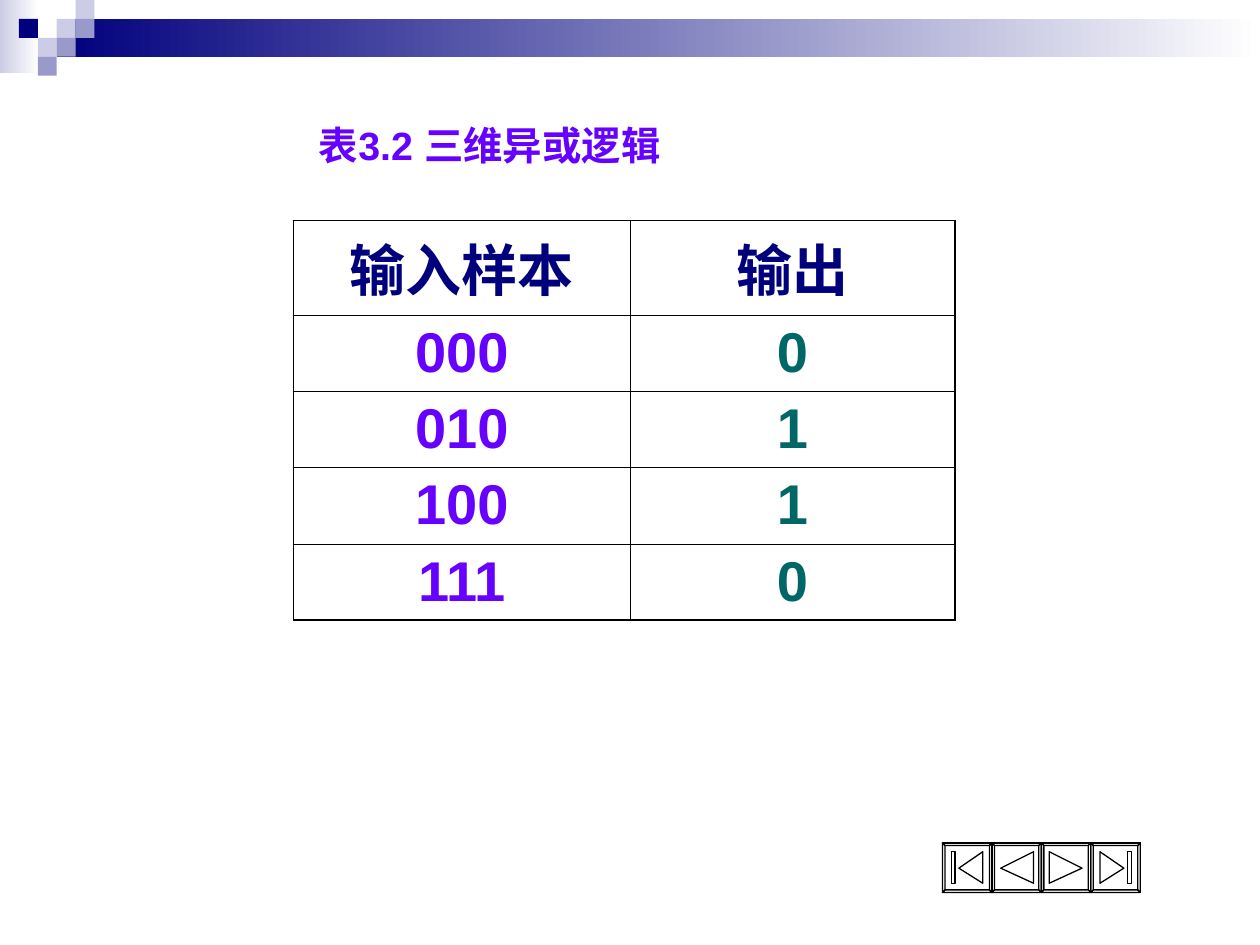
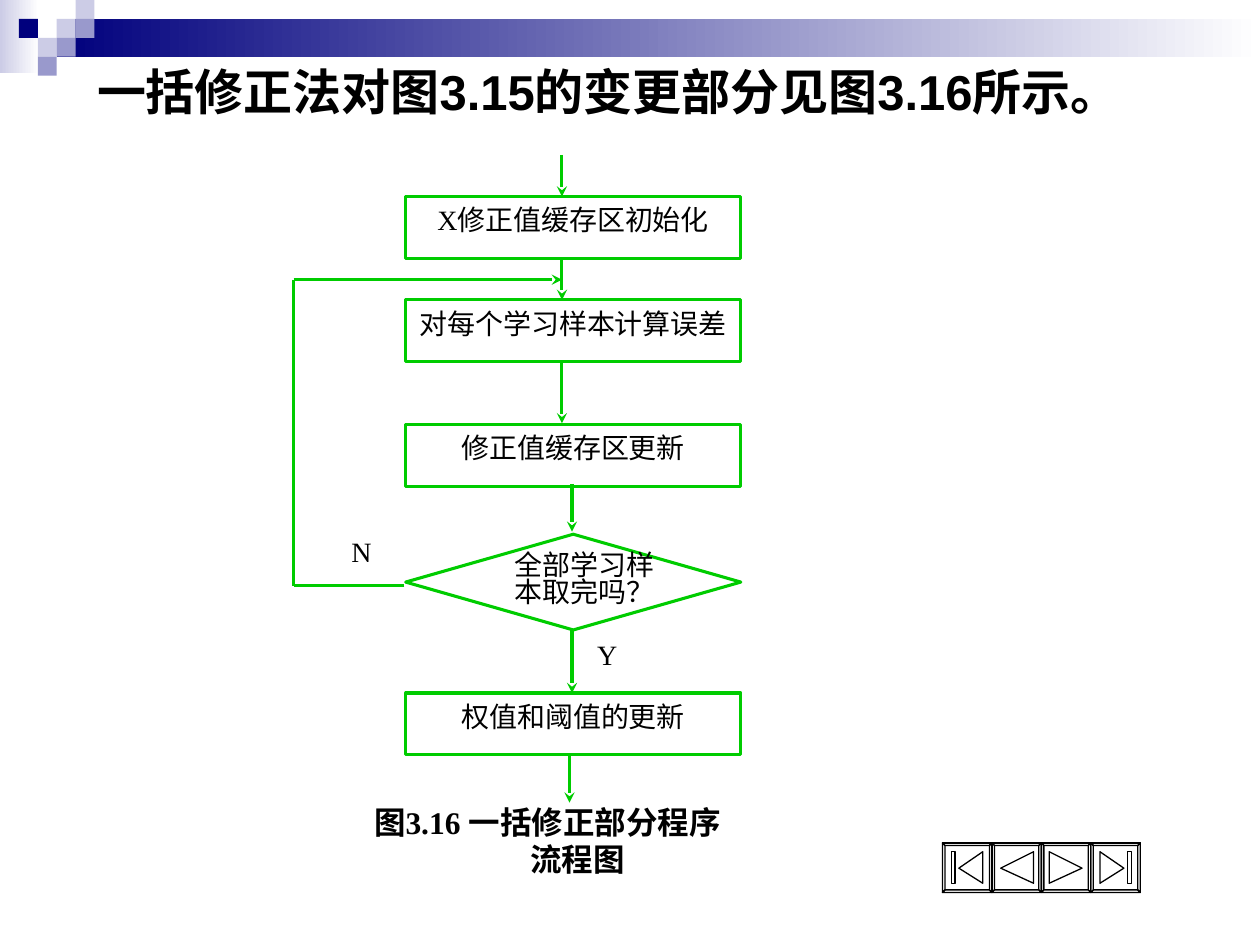
import dataclasses

import lxml.etree
import pptx
import pptx.dml.color
import pptx.enum.shapes
import pptx.enum.text
import pptx.oxml.ns
import pptx.util

Inches = pptx.util.Inches
Pt = pptx.util.Pt
SHAPES = pptx.enum.shapes.MSO_SHAPE
ALIGN = pptx.enum.text.PP_ALIGN
qn = pptx.oxml.ns.qn


@dataclasses.dataclass(frozen=True)
class Theme:
    navy: str = "00007D"
    lavender: str = "CCCCE6"
    periwinkle: str = "9999CC"
    white: str = "FFFFFF"
    black: str = "000000"
    violet: str = "6600FF"
    teal: str = "006666"
    green: str = "00CC00"
    sans: str = "Arial"
    serif: str = "Times New Roman"
    heading_size: float = 28
    table_title_size: float = 22.5
    cell_size: float = 32
    flow_size: float = 16
    caption_size: float = 18
    flow_line: float = 1.75
    button_line: float = 0.75
    outer_border: float = 1.08
    inner_border: float = 0.45


THEME = Theme()
SQUARE = 0.15
HEADER_SQUARES = [  # column, row, colour
    (3, 1, THEME.lavender),
    (4, 0, THEME.lavender),
    (4, 1, THEME.periwinkle),
    (2, 2, THEME.lavender),
    (1, 1, THEME.navy),
    (3, 2, THEME.periwinkle),
    (2, 3, THEME.periwinkle),
]
BUTTON = 1.57 / 4
BEVEL = 0.02


def rgb(colour):
    return pptx.dml.color.RGBColor.from_string(colour)


def add_run(para, text, size, colour=THEME.black, font=THEME.serif, bold=False):
    span = para.add_run()
    span.text = text
    span.font.size = Pt(size)
    span.font.name = font
    span.font.bold = bold
    span.font.color.rgb = rgb(colour)


def set_indent(para, left, first=0.0):
    properties = para._p.get_or_add_pPr()
    properties.set("marL", str(Inches(left)))
    properties.set("indent", str(Inches(first)))


def place_title(slide, text, place, size, colour, left, first):
    title = slide.shapes.title
    title.left, title.top, title.width, title.height = map(Inches, place)
    frame = title.text_frame
    frame.word_wrap = True
    frame.auto_size = pptx.enum.text.MSO_AUTO_SIZE.NONE
    frame.vertical_anchor = pptx.enum.text.MSO_ANCHOR.TOP
    para = frame.paragraphs[0]
    para.alignment = ALIGN.LEFT
    set_indent(para, left, first)
    para._p.get_or_add_pPr().set("hangingPunct", "0")
    add_run(para, text, size, colour, THEME.sans, bold=True)


def add_block(slide, kind, place, fill, line=None):
    """Add a preset shape; a pair of fill colours gives a left-to-right gradient."""
    block = slide.shapes.add_shape(kind, *map(Inches, place))
    block.shadow.inherit = False
    if isinstance(fill, tuple):
        block.fill.gradient()
        block.fill.gradient_angle = 0
        for stop, colour in zip(block.fill.gradient_stops, fill):
            stop.color.rgb = rgb(colour)
    else:
        block.fill.solid()
        block.fill.fore_color.rgb = rgb(fill)
    if line:
        block.line.color.rgb = rgb(line)
        block.line.width = Pt(THEME.flow_line)
    else:
        block.line.fill.background()
    return block


def add_header_band(slide):
    rectangle = SHAPES.RECTANGLE
    add_block(slide, rectangle, (0, 0, 0.31, 0.58), (THEME.lavender, THEME.white))
    add_block(slide, rectangle, (0.45, 0.15, 9.55, 0.3), (THEME.navy, THEME.white))
    for column, row, colour in HEADER_SQUARES:
        place = (column * SQUARE, row * SQUARE, SQUARE, SQUARE)
        add_block(slide, rectangle, place, colour)


def add_button(slide, left, top, icon):
    """Draw a bevelled button with the icon outlines, given from its corner."""
    near, far = BEVEL, BUTTON - BEVEL
    outer = [(0, 0), (BUTTON, 0), (BUTTON, BUTTON), (0, BUTTON)]
    inner = [(near, near), (far, near), (far, far), (near, far)]
    bevels = [
        [outer[side], outer[(side + 1) % 4], inner[(side + 1) % 4], inner[side]]
        for side in range(4)
    ]
    builder = None
    for outline in [outer, *bevels, *icon]:
        points = [(Inches(left + x), Inches(top + y)) for x, y in outline]
        if builder is None:
            builder = slide.shapes.build_freeform(*points[0])
        else:
            builder.move_to(*points[0])
        builder.add_line_segments(points[1:], close=True)
    button = builder.convert_to_shape()
    button.shadow.inherit = False
    button.fill.solid()
    button.fill.fore_color.rgb = rgb(THEME.white)
    button.line.color.rgb = rgb(THEME.black)
    button.line.width = Pt(THEME.button_line)


def mirror(icon):
    return [[(BUTTON - x, y) for x, y in outline] for outline in icon]


def add_navigation(slide):
    previous = [[(0.07, 0.2), (0.33, 0.07), (0.33, 0.32)]]
    first = [
        [(0.13, 0.2), (0.32, 0.07), (0.32, 0.32)],
        [(0.07, 0.07), (0.1, 0.07), (0.1, 0.32), (0.07, 0.32)],
    ]
    icons = [first, previous, mirror(previous), mirror(first)]
    for position, icon in enumerate(icons):
        add_button(slide, 7.48 + position * BUTTON, 6.69, icon)


def set_borders(cell, widths):
    properties = cell._tc.get_or_add_tcPr()
    for side, width in zip("LRTB", widths):
        border = lxml.etree.SubElement(properties, qn(f"a:ln{side}"), w=str(Pt(width)))
        fill = lxml.etree.SubElement(border, qn("a:solidFill"))
        lxml.etree.SubElement(fill, qn("a:srgbClr"), val=THEME.black)


def add_truth_table(slide, rows):
    widths, heights = [2.67, 2.58], [0.75, 0.61, 0.6, 0.61, 0.6]
    place = (2.33, 1.75, sum(widths), sum(heights))
    frame = slide.shapes.add_table(len(rows), len(widths), *map(Inches, place))
    table = frame.table
    table.first_row = table.horz_banding = False
    for column, width in zip(table.columns, widths):
        column.width = Inches(width)
    for row, height in zip(table.rows, heights):
        row.height = Inches(height)
    for r, values in enumerate(rows):
        for c, value in enumerate(values):
            cell = table.cell(r, c)
            edges = (c == 0, c == len(widths) - 1, r == 0, r == len(rows) - 1)
            set_borders(
                cell,
                [THEME.outer_border if edge else THEME.inner_border for edge in edges],
            )
            cell.fill.background()
            colour = THEME.navy if r == 0 else (THEME.violet, THEME.teal)[c]
            para = cell.text_frame.paragraphs[0]
            para.alignment = ALIGN.CENTER
            add_run(para, value, THEME.cell_size, colour, THEME.sans, bold=True)


def add_process(slide, top, text):
    place = (3.22, top, 2.66, 0.49)
    box = add_block(slide, SHAPES.FLOWCHART_PROCESS, place, THEME.white, THEME.green)
    frame = box.text_frame
    frame.word_wrap = True
    frame.vertical_anchor = pptx.enum.text.MSO_ANCHOR.TOP
    para = frame.paragraphs[0]
    para.alignment = ALIGN.CENTER
    add_run(para, text, THEME.flow_size)


def add_flow_line(slide, start, end, arrow=True):
    connector = slide.shapes.add_connector(
        pptx.enum.shapes.MSO_CONNECTOR.STRAIGHT, *map(Inches, start + end)
    )
    connector.line.color.rgb = rgb(THEME.green)
    connector.line.width = Pt(THEME.flow_line)
    properties = connector.element.spPr
    if arrow:
        line = properties.find(qn("a:ln"))
        lxml.etree.SubElement(line, qn("a:tailEnd"), type="stealth")
    lxml.etree.SubElement(properties, qn("a:effectLst"))


def add_label(slide, place, text):
    box = slide.shapes.add_textbox(*map(Inches, place))
    box.text_frame.word_wrap = True
    para = box.text_frame.paragraphs[0]
    add_run(para, text, THEME.flow_size)
    return para


def add_caption(slide):
    box = slide.shapes.add_textbox(*map(Inches, (2.87, 6.32, 3.55, 0.49)))
    frame = box.text_frame
    frame.word_wrap = True
    add_run(frame.paragraphs[0], "图3.16 一括修正部分程序", THEME.caption_size, bold=True)
    para = frame.add_paragraph()
    set_indent(para, 1.24)
    add_run(para, "流程图", THEME.caption_size, bold=True)


def add_flowchart(slide):
    steps = [
        (1.56, "X修正值缓存区初始化"),
        (2.38, "对每个学习样本计算误差"),
        (3.37, "修正值缓存区更新"),
        (5.5, "权值和阈值的更新"),
    ]
    for top, text in steps:
        add_process(slide, top, text)
    decision = (3.22, 4.24, 2.66, 0.76)
    add_block(slide, SHAPES.FLOWCHART_DECISION, decision, THEME.white, THEME.green)

    down_arrows = [  # x, top, bottom
        (4.46, 1.23, 1.56),
        (4.46, 2.05, 2.38),
        (4.46, 2.86, 3.36),
        (4.54, 3.84, 4.22),
        (4.54, 4.99, 5.5),
        (4.52, 5.99, 6.37),
    ]
    for x, top, bottom in down_arrows:
        add_flow_line(slide, (x, top), (x, bottom))
    loop = [(3.21, 4.65), (2.33, 4.65), (2.33, 2.22), (4.46, 2.22)]
    for start, end in zip(loop, loop[1:]):
        add_flow_line(slide, start, end, arrow=end == loop[-1])

    question = add_label(slide, (3.93, 4.35, 1.42, 0.82), "全部学习样本取完吗？")
    question.alignment = ALIGN.CENTER
    question.line_spacing = 0.8
    add_label(slide, (4.64, 5.01, 0.53, 0.49), "Y")
    add_label(slide, (2.69, 4.19, 0.47, 0.4), "N")
    add_caption(slide)


def add_page(deck):
    slide = deck.slides.add_slide(deck.slide_layouts.get_by_name("Title Only"))
    add_header_band(slide)
    add_navigation(slide)
    return slide


def main():
    deck = pptx.Presentation()
    deck.slide_width, deck.slide_height = Inches(10), Inches(7.5)

    page = add_page(deck)
    place_title(page, "表3.2 三维异或逻辑", (1.93, 0.91, 6.89, 0.5),
                THEME.table_title_size, THEME.violet, left=0.81, first=-0.31)
    add_truth_table(page, [
        ("输入样本", "输出"),
        ("000", "0"),
        ("010", "1"),
        ("100", "1"),
        ("111", "0"),
    ])

    page = add_page(deck)
    place_title(page, "一括修正法对图3.15的变更部分见图3.16所示。", (0.67, 0.44, 8.5, 0.58),
                THEME.heading_size, THEME.black, left=0.38, first=-0.38)
    add_flowchart(page)

    deck.save("out.pptx")


if __name__ == "__main__":
    main()
